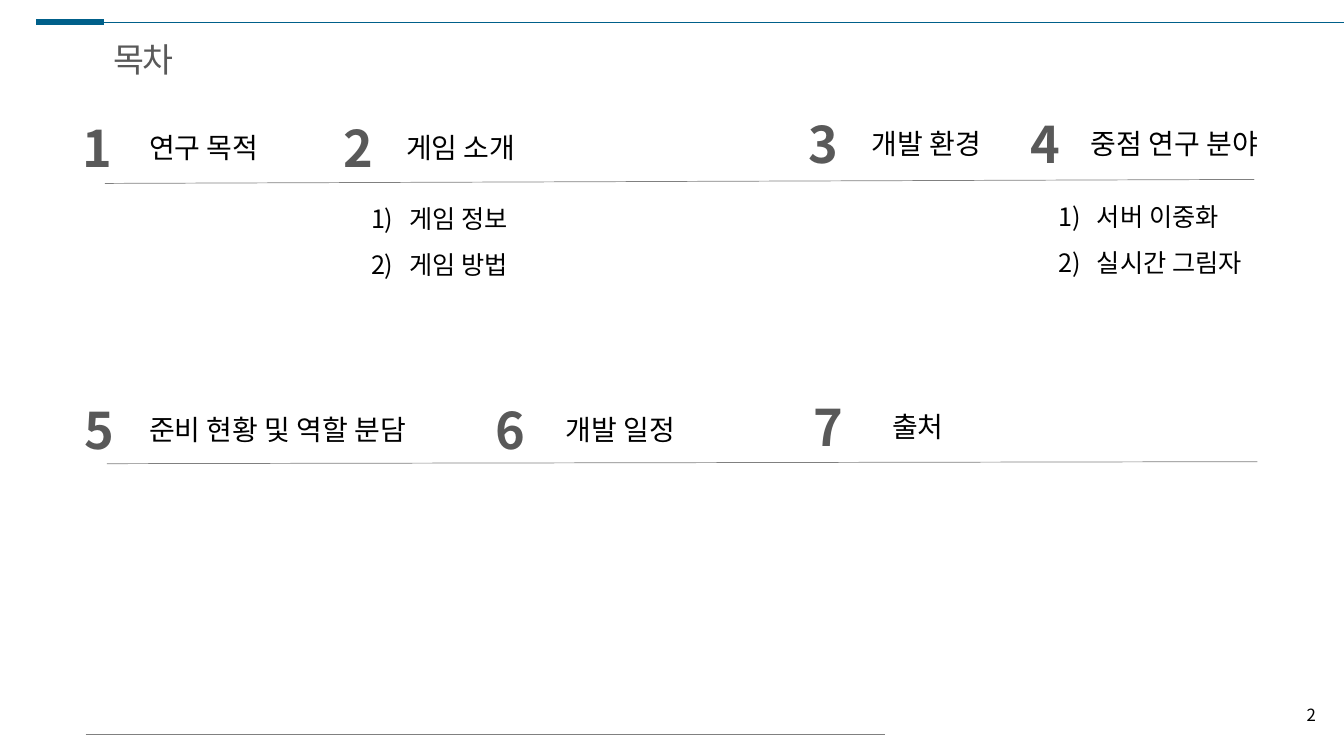
from lxml import etree
from pptx import Presentation
from pptx import util as u
from pptx.dml.color import RGBColor
from pptx.enum import shapes, text
from pptx.oxml.ns import qn

PX = 9144  # EMU per px, 100 px to the inch
FONT = "Noto Sans CJK KR"
BLUE = RGBColor(0x00, 0x60, 0x8A)
GRAY = RGBColor(0x80, 0x80, 0x80)
DARK = RGBColor(0x59, 0x59, 0x59)
BLACK = RGBColor(0x00, 0x00, 0x00)

# number, label, number left, number width, label left, label width, top
HEADINGS = [
    ("1", "연구 목적", 72, 65, 138, 155, 108),
    ("2", "게임 소개", 331, 61, 393, 147, 108),
    ("3", "개발 환경", 792, 62, 855, 148, 104),
    ("4", "중점 연구 분야", 1012, 59, 1072, 210, 104),
    ("5", "준비 현황 및 역할 분담", 74, 62, 138, 316, 387),
    ("6", "개발 일정", 482, 68, 551, 160, 387),
    ("7", "출처", 797, 100, 875, 107, 384),
]


def px(*lengths):
    return [u.Emu(length * PX) for length in lengths]


def place(shape, left, top, width, height):
    shape.left, shape.top, shape.width, shape.height = px(left, top, width, height)


def format_text(frame, size, color, bold=False):
    for paragraph in frame.paragraphs:
        for run in paragraph.runs:
            font = run.font
            font.size, font.bold, font.name = u.Pt(size), bold, FONT
            font.color.rgb = color
            east_asian = etree.SubElement(font._element, qn("a:ea"))
            east_asian.set("typeface", FONT)


def add_rule(slide, start, end, color, weight):
    rule = slide.shapes.add_connector(
        shapes.MSO_CONNECTOR.STRAIGHT, *px(*start, *end))
    rule.line.color.rgb = color
    rule.line.width = u.Pt(weight)
    etree.SubElement(rule._element.spPr, qn("a:effectLst"))


def add_label(parent, box, words, size, color, bold=False):
    frame = parent.shapes.add_textbox(*px(*box)).text_frame
    frame.word_wrap = True
    frame.vertical_anchor = text.MSO_ANCHOR.MIDDLE
    frame.text = words
    format_text(frame, size, color, bold)
    return frame


def add_heading(slide, number, label, number_left, number_width,
                label_left, label_width, top):
    heading = slide.shapes.add_group_shape()
    add_label(heading, (number_left, top + 3, number_width, 71),
              number, 36, DARK, bold=True)
    add_label(heading, (label_left, top, label_width, 77), label, 20, BLACK)


def fill_title(title, words):
    place(title, 103, 34, 83, 50)
    frame = title.text_frame
    frame.text = words
    frame.word_wrap = False
    frame.auto_size = text.MSO_AUTO_SIZE.NONE
    frame.vertical_anchor = text.MSO_ANCHOR.TOP
    frame.paragraphs[0].alignment = text.PP_ALIGN.LEFT
    format_text(frame, 24, DARK)
    frame.paragraphs[0].runs[0].font._element.set("spc", "-150")


def fill_numbered_list(body, box, items):
    place(body, *box)
    frame = body.text_frame
    frame.text = "\n".join(items)
    frame.auto_size = text.MSO_AUTO_SIZE.NONE
    for paragraph in frame.paragraphs:
        paragraph.line_spacing = 1.5
        paragraph.space_before = u.Pt(0)
        properties = paragraph._p.get_or_add_pPr()
        properties.set("marL", str(38 * PX))
        properties.set("indent", str(-38 * PX))
        bullet_font = etree.SubElement(properties, qn("a:buFont"))
        bullet_font.set("typeface", FONT)
        numbering = etree.SubElement(properties, qn("a:buAutoNum"))
        numbering.set("type", "arabicParenR")
    format_text(frame, 18, BLACK)


def main():
    deck = Presentation()
    deck.slide_width, deck.slide_height = px(1333, 750)
    slide = deck.slides.add_slide(deck.slide_layouts.get_by_name("Two Content"))
    title, game_list, research_list = slide.placeholders

    # Header band and title
    add_rule(slide, (36, 22), (1333, 22), BLUE, 0.5)
    add_rule(slide, (36, 22), (103, 22), BLUE, 4.5)
    fill_title(title, "목차")

    # Rules under both rows and at the foot
    add_rule(slide, (1244, 178), (104, 182), GRAY, 0.5)
    add_rule(slide, (1247, 458), (106, 460), GRAY, 0.5)
    add_rule(slide, (85, 729), (878, 729), GRAY, 0.5)

    # Contents
    for heading in HEADINGS:
        add_heading(slide, *heading)
    fill_numbered_list(game_list, (358, 182, 175, 97), ["게임 정보", "게임 방법"])
    fill_numbered_list(research_list, (1040, 180, 274, 97),
                       ["서버 이중화", "실시간 그림자"])

    # Page number
    page_number = add_label(slide, (1272, 689, 43, 40), "2", 12, BLACK)
    page_number.paragraphs[0].alignment = text.PP_ALIGN.RIGHT

    deck.save("out.pptx")


if __name__ == "__main__":
    main()
